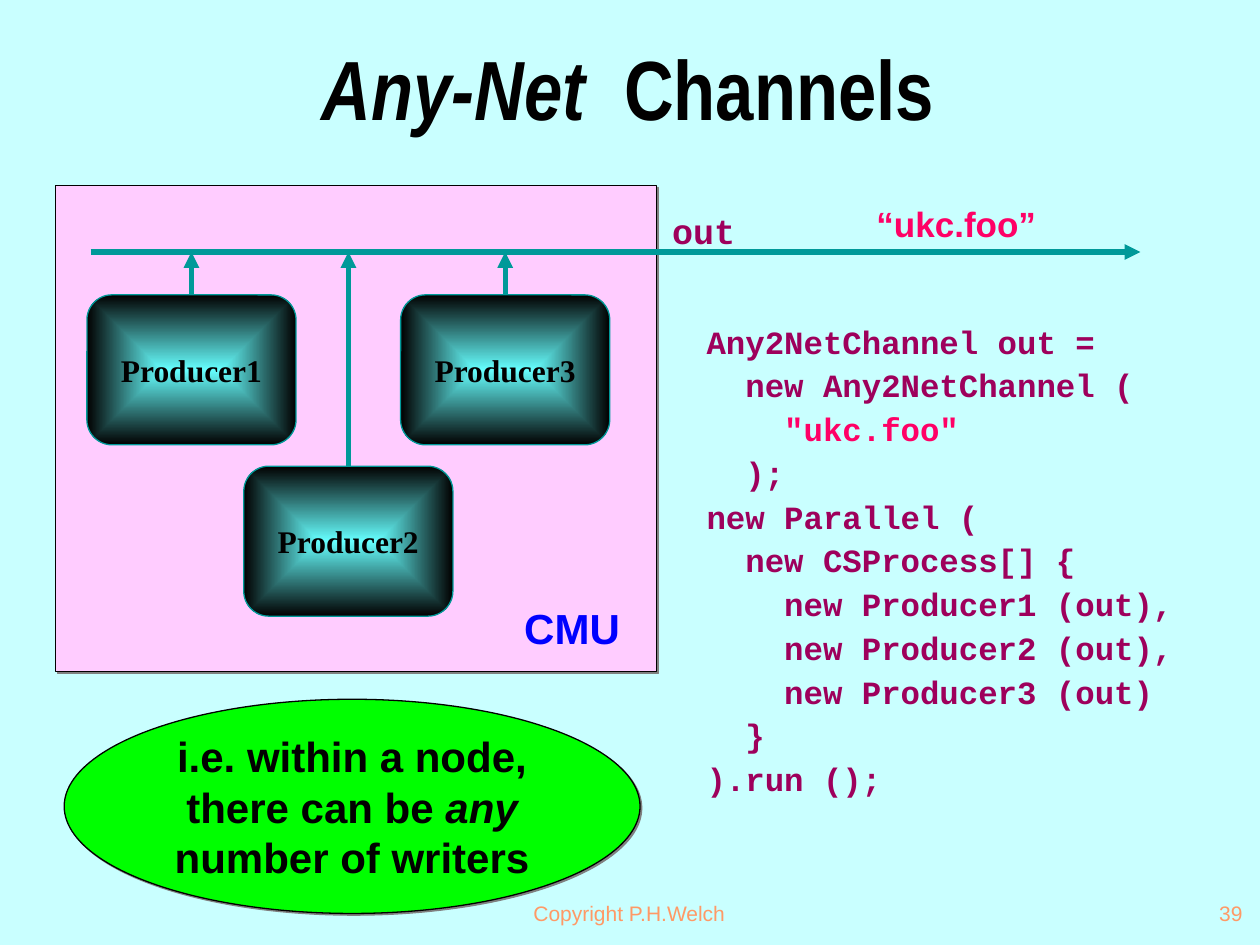
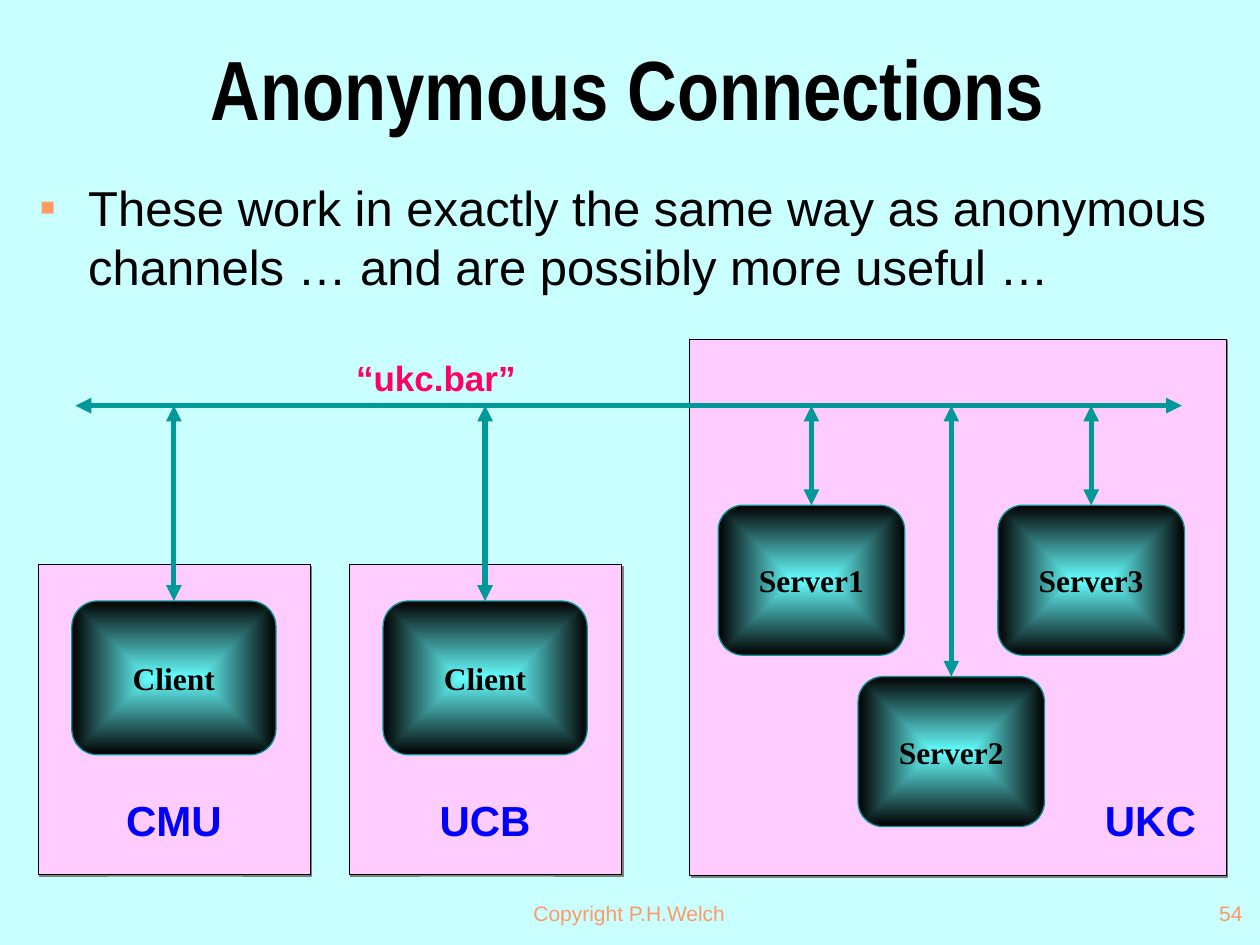
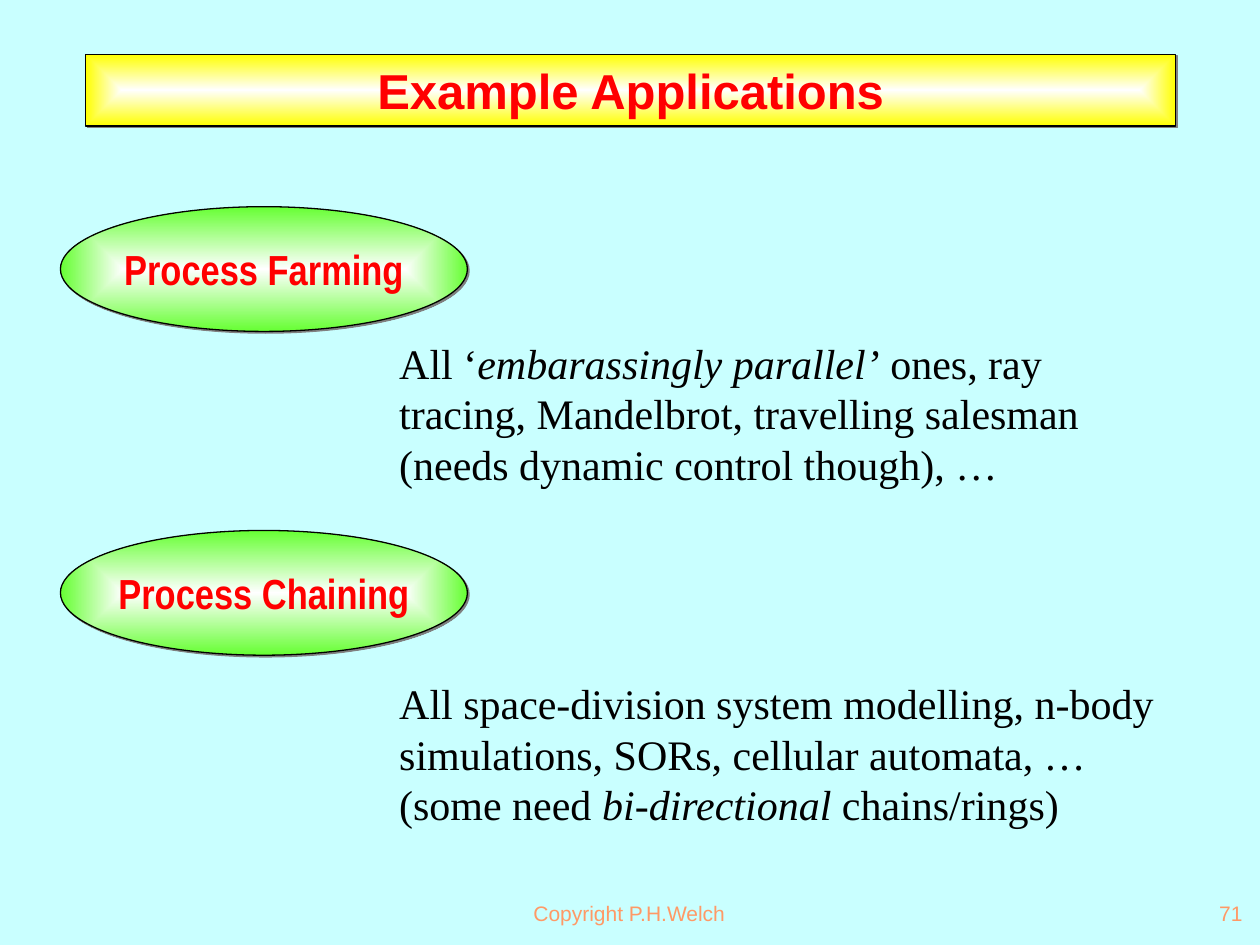
from dataclasses import dataclass
from typing import NamedTuple

from lxml import etree
from pptx import Presentation
from pptx import util as u
from pptx.dml.color import RGBColor
from pptx.enum import shapes, text
from pptx.oxml.ns import qn

KIND = shapes.MSO_SHAPE
SIDE = text.PP_ALIGN
ROW = text.MSO_ANCHOR


class Style(NamedTuple):
    font: str
    size: float
    color: str
    bold: bool = False


@dataclass(frozen=True)
class Theme:
    back: str = "C9FFFF"
    ink: str = "010000"
    panel: str = "FFCCFF"
    teal: str = "009999"
    aqua: str = "66FFFF"
    pink: str = "FF0066"
    orange: str = "FF9966"
    shade: str = "808080"
    lime: str = "00FF00"
    leaf: str = "66FF33"
    yellow: str = "FFFF00"
    white: str = "FFFFFF"
    title: Style = Style("Arial Narrow", 48, "010000", True)
    banner: Style = Style("Arial", 28, "FF0000", True)
    topic: Style = Style("Arial Narrow", 24, "FF0000", True)
    body: Style = Style("Arial", 28, "010000")
    prose: Style = Style("Times New Roman", 24, "010000")
    note: Style = Style("Arial", 24, "010000", True)
    place: Style = Style("Arial", 24, "0000FF", True)
    node: Style = Style("Times New Roman", 18, "010000", True)
    net: Style = Style("Arial", 20, "FF0066", True)
    var: Style = Style("Courier New", 20, "9E005C", True)
    code: Style = Style("Courier New", 18.5, "9E005C", True)
    foot: Style = Style("Arial", 12, "FF9966")


T = Theme()
CODE = """Any2NetChannel out =
  new Any2NetChannel (
    *"ukc.foo"*
  );
new Parallel (
  new CSProcess[] {
    new Producer1 (out),
    new Producer2 (out),
    new Producer3 (out)
  }
).run ();"""


# Helpers
def rgb(code):
    return RGBColor.from_string(code)


def tag(parent, name, **attrs):
    return etree.SubElement(parent, qn(name), attrs)


def cast(parent, dist):
    """Add a grey shadow down to the right, dist in points."""
    drop = tag(parent, "a:outerShdw", dist=str(u.Pt(dist)), dir="2700000", algn="tl", rotWithShape="0")
    tag(drop, "a:srgbClr", val=T.shade)


def place(shape, box):
    shape.left, shape.top, shape.width, shape.height = map(u.Inches, box)


# Text
def write(shape, words, style, align=SIDE.CENTER, row=ROW.MIDDLE, accent=None, wrap=True):
    """Fill a shape; parts between asterisks are italic, or in the accent colour."""
    frame = shape.text_frame
    frame.word_wrap, frame.auto_size = wrap, text.MSO_AUTO_SIZE.NONE
    frame.vertical_anchor = row
    frame.text = words.replace("*", "")
    for para, line in zip(frame.paragraphs, words.split("\n")):
        para.alignment = align
        para.space_before = u.Pt(0)
        if "*" in line:
            para.clear()
            for i, part in enumerate(line.split("*")):
                if part:
                    run = para.add_run()
                    run.text = part
                    run.font.italic = i % 2 == 1 and not accent
                    run.font.color.rgb = rgb(accent if accent and i % 2 else style.color)
        for run in para.runs:
            font = run.font
            font.name, font.size, font.bold = style.font, u.Pt(style.size), style.bold
            if not (accent and "*" in line):
                font.color.rgb = rgb(style.color)
    return frame


def label(slide, box, words, style, align=SIDE.CENTER, row=ROW.TOP, accent=None):
    return write(slide.shapes.add_textbox(*map(u.Inches, box)), words, style, align, row, accent)


# Shapes
def paint(shape, fill, edge, width, shadow=True):
    """Fill with one colour, or with an (inner, outer) pair from the centre."""
    if isinstance(fill, tuple):
        shape.fill.gradient()
        for stop, color in zip(shape.fill.gradient_stops, fill):
            stop.color.rgb = rgb(color)
        grad = shape.element.spPr.find(qn("a:gradFill"))
        grad.remove(grad.find(qn("a:lin")))
        middle = dict.fromkeys("ltrb", "50000")
        tag(tag(grad, "a:path", path="rect"), "a:fillToRect", **middle)
    else:
        shape.fill.solid()
        shape.fill.fore_color.rgb = rgb(fill)
    shape.line.color.rgb = rgb(edge)
    shape.line.width = u.Pt(width)
    shape.shadow.inherit = False
    if shadow:
        cast(shape.element.spPr.find(qn("a:effectLst")), 1.4)


def draw(slide, kind, box, fill, edge=T.ink, width=0.75, shadow=True):
    shape = slide.shapes.add_shape(kind, *map(u.Inches, box))
    paint(shape, fill, edge, width, shadow)
    return shape


def panel(slide, box, name, mid, top):
    draw(slide, KIND.RECTANGLE, box, T.panel, width=0.25)
    label(slide, (mid - 0.55, top, 1.1, 0.5), name, T.place)


def oval(slide, box, fill, words, style, wrap=True):
    frame = write(draw(slide, KIND.OVAL, box, fill), words, style, wrap=wrap)
    frame.margin_left = frame.margin_right = frame.margin_top = frame.margin_bottom = 0


def arrow(slide, start, end, both=False, source=None):
    points = map(u.Inches, (*start, *end))
    line = slide.shapes.add_connector(shapes.MSO_CONNECTOR.STRAIGHT, *points)
    if source is not None:
        line.begin_connect(source, 0)
    line.line.color.rgb = rgb(T.teal)
    line.line.width = u.Pt(3)
    props = line.element.spPr
    stroke = props.find(qn("a:ln"))
    if both:
        tag(stroke, "a:headEnd", type="triangle")
    tag(stroke, "a:tailEnd", type="triangle")
    tag(props, "a:effectLst")


def node(slide, name, mid, top, size, bus, both=False):
    """A process box with an arrow up to the channel at height bus."""
    wide, high = size
    box = draw(slide, KIND.ROUNDED_RECTANGLE, (mid - wide / 2, top, wide, high),
               (T.aqua, T.ink), T.teal, shadow=False)
    box.adjustments[0] = 0.167
    write(box, name, T.node)
    arrow(slide, (mid, top), (mid, bus), both, box)


# Slide frame
def begin(deck, layout, number):
    slide = deck.slides.add_slide(deck.slide_layouts[layout])
    label(slide, (3.41, 7, 3.17, 0.5), "Copyright P.H.Welch", T.foot, row=ROW.MIDDLE)
    label(slide, (7.88, 7, 2.08, 0.5), str(number), T.foot, SIDE.RIGHT, ROW.MIDDLE)
    return slide


def head(slide, words):
    title = slide.shapes.title
    place(title, (0.24, 0.3, 9.49, 0.97))
    para = write(title, words, T.title).paragraphs[0]
    para.line_spacing = 0.7
    for run in para.runs:
        glow = etree.Element(qn("a:effectLst"))
        cast(glow, 3)
        run.font.fill  # the shadow follows the colour
        run._r.get_or_add_rPr().find(qn("a:solidFill")).addnext(glow)


def bullet(slide, words):
    body = slide.placeholders[1]
    place(body, (0.22, 1.36, 9.52, 1.29))
    for para in write(body, words, T.body, SIDE.LEFT, ROW.TOP).paragraphs:
        props = para._p.get_or_add_pPr()
        props.set("marL", str(u.Inches(0.38)))
        props.set("indent", str(u.Inches(-0.38)))
        tag(tag(props, "a:buClr"), "a:srgbClr", val=T.orange)
        tag(props, "a:buSzPct", val="50000")
        tag(props, "a:buChar", char="■")


# Slides
def channels(deck):
    slide = begin(deck, 5, 39)
    head(slide, "*Any-Net*  Channels")
    panel(slide, (0.44, 1.47, 4.77, 3.86), "CMU", 4.54, 4.73)
    bus = 2
    for i, top in enumerate((2.34, 3.7, 2.34)):
        node(slide, f"Producer{i + 1}", 1.52 + 1.245 * i, top, (1.66, 1.19), bus)
    arrow(slide, (0.72, bus), (9.05, bus))
    label(slide, (6, 1.56, 3.18, 0.43), "“ukc.foo”", T.net)
    label(slide, (5.17, 1.61, 0.83, 0.43), "out", T.var)
    code = label(slide, (5.51, 2.54, 4.2, 4.53), CODE, T.code, SIDE.LEFT, accent=T.pink)
    for i, para in enumerate(code.paragraphs):
        para.line_spacing = 0.9
        para.space_before = u.Pt(5 if i else 0)
    oval(slide, (0.51, 5.55, 4.57, 1.7), T.lime,
         "i.e. within a node, there can be *any* number of writers", T.note)


def links(deck):
    slide = begin(deck, 1, 54)
    head(slide, "Anonymous Connections")
    bullet(slide, "These work in exactly the same way as anonymous channels … "
                  "and are possibly more useful …")
    bus = 3.22
    panel(slide, (5.47, 2.69, 4.26, 4.26), "UKC", 9.13, 6.26)
    for i, top in enumerate((4.01, 5.37, 4.01)):
        node(slide, f"Server{i + 1}", 6.44 + 1.11 * i, top, (1.48, 1.19), bus, True)
    for i, name in enumerate(("CMU", "UCB")):
        mid = 1.38 + 2.47 * i
        panel(slide, (mid - 1.08, 4.48, 2.16, 2.46), name, mid, 6.26)
        node(slide, "Client", mid, 4.77, (1.62, 1.22), bus, True)
    arrow(slide, (0.6, bus), (9.38, bus), True)
    label(slide, (2.04, 2.78, 2.84, 0.43), "“ukc.bar”", T.net)


def uses(deck):
    slide = begin(deck, 5, 71)
    title = slide.shapes.title
    place(title, (0.68, 0.43, 8.65, 0.57))
    paint(title, (T.white, T.yellow), T.ink, 0.75)
    write(title, "Example Applications", T.banner)
    topics = (
        ("Process Farming", 1.64, 2.63,
         "All ‘*embarassingly parallel’* ones, ray tracing, Mandelbrot, "
         "travelling salesman (needs dynamic control though), …"),
        ("Process Chaining", 4.21, 5.33,
         "All space-division system modelling, n-body simulations, SORs, "
         "cellular automata, … (some need *bi-directional* chains/rings)"),
    )
    for name, top, below, words in topics:
        oval(slide, (0.48, top, 3.23, 0.99), (T.white, T.leaf), name, T.topic, wrap=False)
        label(slide, (3.07, below, 6.37, 1.3), words, T.prose, SIDE.LEFT)


def main():
    deck = Presentation()
    deck.slide_width, deck.slide_height = u.Inches(10), u.Inches(7.5)
    back = deck.slide_master.background.fill
    back.solid()
    back.fore_color.rgb = rgb(T.back)
    channels(deck)
    links(deck)
    uses(deck)
    deck.save("out.pptx")


if __name__ == "__main__":
    main()
